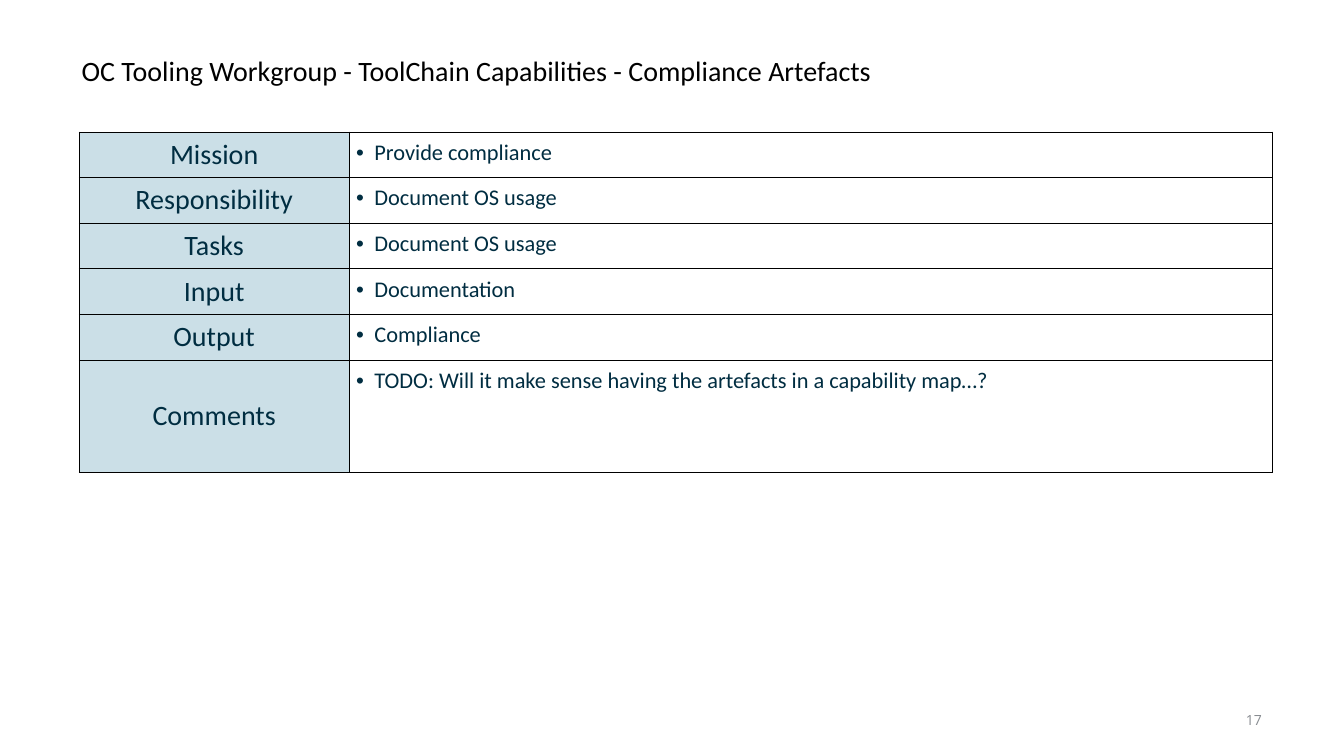
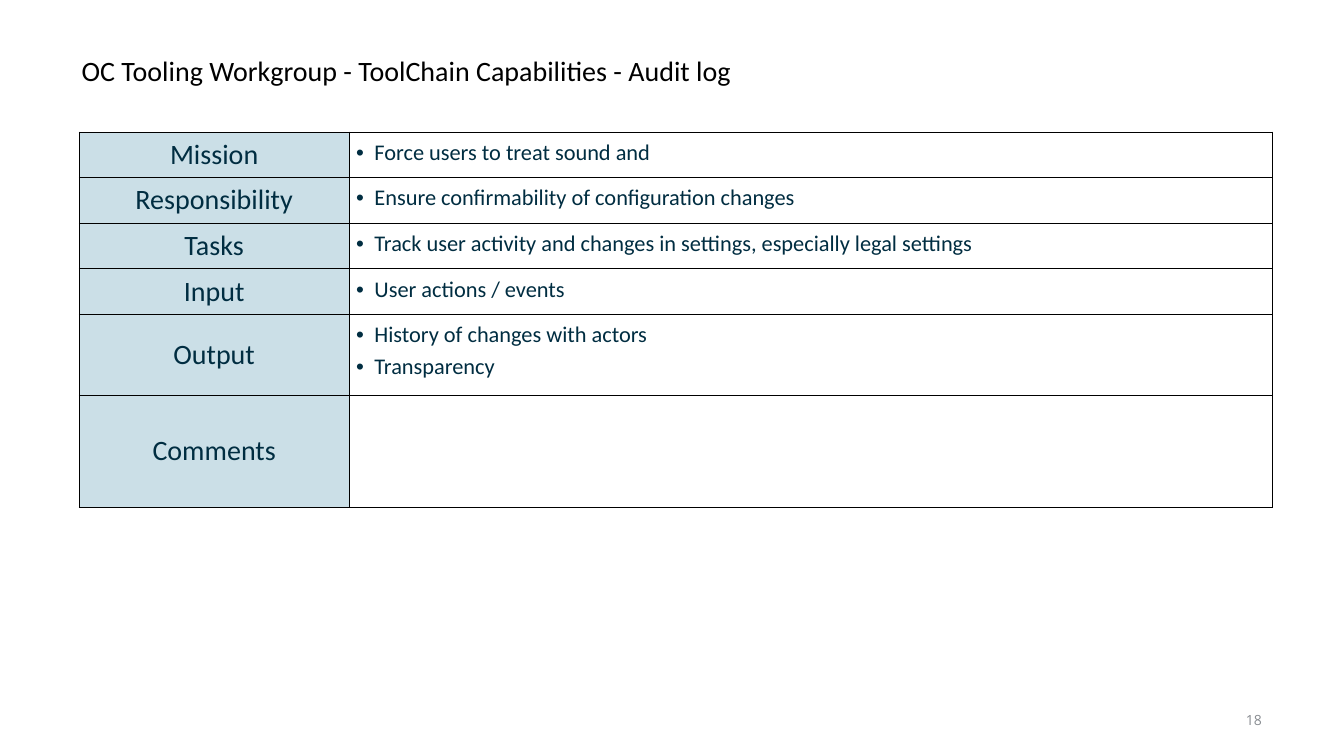
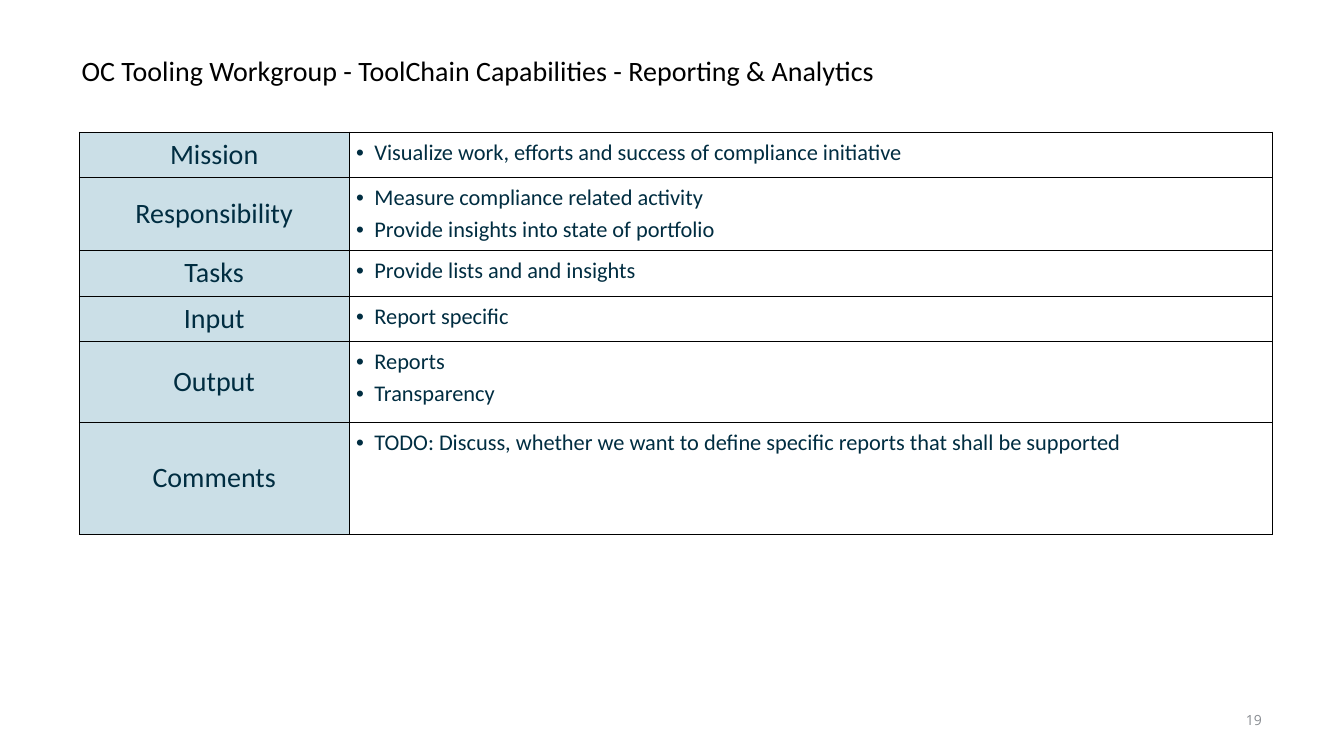
from pptx import Presentation
from pptx.dml.color import RGBColor
from pptx.enum.text import MSO_ANCHOR, MSO_AUTO_SIZE, PP_ALIGN
from pptx.util import Pt
from lxml.etree import SubElement
from pptx.oxml.ns import qn

LABELS = ["Mission", "Responsibility", "Tasks", "Input", "Output", "Comments"]
ROW, DOUBLE_ROW, OUTPUT_ROW, COMMENT_ROW = 32.6, 52, 57.6, 79.9

PAGES = [
    ("Compliance Artefacts", {}, [
        ["Provide compliance"],
        ["Document OS usage"],
        ["Document OS usage"],
        ["Documentation"],
        ["Compliance"],
        ["TODO: Will it make sense having the artefacts in a capability map…?"],
    ]),
    ("Audit log", {"Output": OUTPUT_ROW}, [
        ["Force users to treat sound and"],
        ["Ensure confirmability of configuration changes"],
        ["Track user activity and changes in settings, especially legal settings"],
        ["User actions / events"],
        ["History of changes with actors", "Transparency"],
        [],
    ]),
    ("Reporting & Analytics", {"Responsibility": DOUBLE_ROW, "Output": OUTPUT_ROW}, [
        ["Visualize work, efforts and success of compliance initiative"],
        ["Measure compliance related activity", "Provide insights into state of portfolio"],
        ["Provide lists and and insights"],
        ["Report specific"],
        ["Reports", "Transparency"],
        ["TODO: Discuss, whether we want to define specific reports that shall be supported"],
    ]),
]


def color(value):
    return RGBColor.from_string(value)


def write(para, text, size=16, font="Calibri", ink="002D41", align=PP_ALIGN.LEFT,
          before=0, spacing=1.0, bullet=False):
    para.alignment = align
    para.line_spacing = spacing
    para.space_before = Pt(before)
    if bullet:
        properties = para._p.get_or_add_pPr()
        properties.set("marL", str(Pt(13)))
        properties.set("indent", str(Pt(-13)))
        SubElement(properties, qn("a:buFont"), typeface="Arial")
        SubElement(properties, qn("a:buChar"), char="•")
    span = para.add_run()
    span.text = text
    span.font.size = Pt(size)
    span.font.name = font
    span.font.color.rgb = color(ink)


def set_margins(target, points):
    target.margin_left = target.margin_right = Pt(points)
    target.margin_top = target.margin_bottom = Pt(points)


class CapabilityDeck:
    label_fill = "CBDFE7"
    border = "000000"
    columns = (193, 659.5)

    def __init__(self):
        self.deck = Presentation()
        self.deck.slide_width, self.deck.slide_height = Pt(960), Pt(540)
        self.page = None

    def add_page(self, capability, number):
        self.page = self.deck.slides.add_slide(self.deck.slide_layouts[5])
        self.add_title(f"OC Tooling Workgroup - ToolChain Capabilities - {capability}")
        self.add_number(number)

    def add_title(self, text):
        box = self.page.shapes.title
        box.left, box.top, box.width, box.height = Pt(54.7), Pt(28), Pt(764.6), Pt(46.8)
        frame = self.prepare_frame(box, MSO_AUTO_SIZE.NONE, True)
        write(frame.paragraphs[0], text, size=20, ink="000000", spacing=0.9)

    def add_number(self, number):
        box = self.page.shapes.add_textbox(Pt(885.6), Pt(504), Pt(19.4), Pt(20.9))
        frame = self.prepare_frame(box, MSO_AUTO_SIZE.SHAPE_TO_FIT_TEXT, False)
        write(frame.paragraphs[0], str(number), size=10, font="Open Sans", ink="888C91",
              align=PP_ALIGN.RIGHT)

    def prepare_frame(self, box, fit, wrap):
        frame = box.text_frame
        frame.auto_size, frame.word_wrap = fit, wrap
        frame.vertical_anchor = MSO_ANCHOR.MIDDLE
        set_margins(frame, 3.6)
        return frame

    def add_table(self, heights, contents):
        table = self.page.shapes.add_table(
            len(LABELS), len(self.columns), Pt(56.5), Pt(94.2),
            Pt(sum(self.columns)), Pt(sum(heights))).table
        table.first_row = table.horz_banding = False
        for column, width in zip(table.columns, self.columns):
            column.width = Pt(width)
        for row, height, label, items in zip(table.rows, heights, LABELS, contents):
            row.height = Pt(height)
            self.fill_label(row.cells[0], label)
            self.fill_items(row.cells[1], items)

    def fill_label(self, cell, label):
        self.draw_borders(cell)
        cell.fill.solid()
        cell.fill.fore_color.rgb = color(self.label_fill)
        cell.vertical_anchor = MSO_ANCHOR.MIDDLE
        set_margins(cell, 0)
        write(cell.text_frame.paragraphs[0], label, size=20, align=PP_ALIGN.CENTER)

    def fill_items(self, cell, items):
        self.draw_borders(cell)
        cell.fill.background()
        set_margins(cell, 5)
        frame = cell.text_frame
        for index, item in enumerate(items):
            para = frame.add_paragraph() if index else frame.paragraphs[0]
            write(para, item, before=3, bullet=True)

    def draw_borders(self, cell):
        properties = cell._tc.get_or_add_tcPr()
        for side in ("a:lnL", "a:lnR", "a:lnT", "a:lnB"):
            line = SubElement(properties, qn(side), w=str(Pt(0.5)))
            fill = SubElement(line, qn("a:solidFill"))
            SubElement(fill, qn("a:srgbClr"), val=self.border)


capabilities = CapabilityDeck()
for number, (capability, taller, contents) in enumerate(PAGES, start=17):
    row_heights = {"Comments": COMMENT_ROW, **taller}
    capabilities.add_page(capability, number)
    capabilities.add_table([row_heights.get(label, ROW) for label in LABELS], contents)
capabilities.deck.save("out.pptx")
